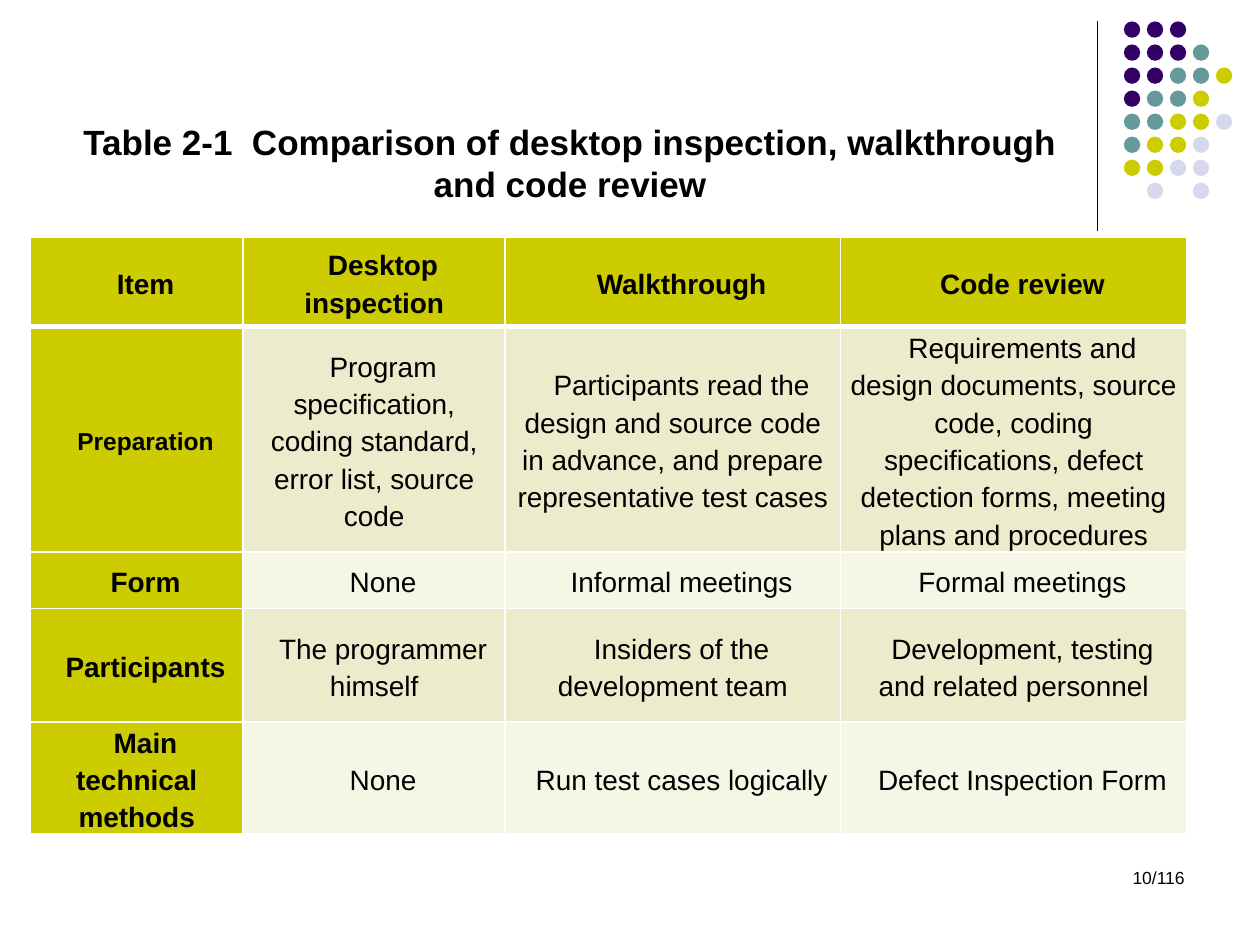
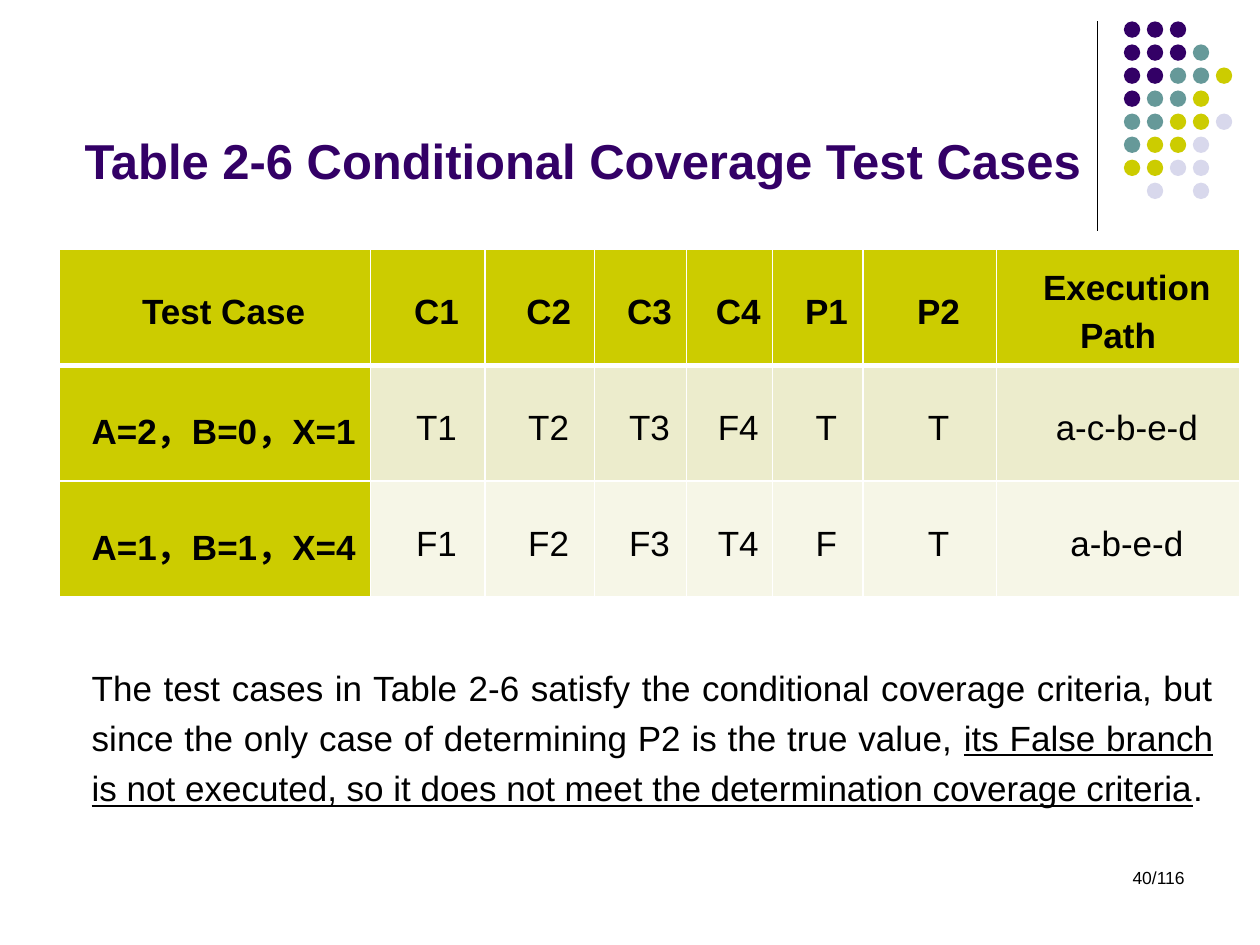
from lxml import etree
from pptx import Presentation
from pptx.dml.color import RGBColor
from pptx.enum.shapes import MSO_CONNECTOR, MSO_SHAPE
from pptx.enum.text import MSO_ANCHOR, MSO_AUTO_SIZE, PP_ALIGN
from pptx.oxml.ns import qn
from pptx.util import Inches, Pt

CENTER, RIGHT, JUST = PP_ALIGN.CENTER, PP_ALIGN.RIGHT, PP_ALIGN.JUSTIFY
MIDDLE, BOTTOM = MSO_ANCHOR.MIDDLE, MSO_ANCHOR.BOTTOM
NONE, GROW = MSO_AUTO_SIZE.NONE, MSO_AUTO_SIZE.SHAPE_TO_FIT_TEXT
OVAL, LINE = MSO_SHAPE.OVAL, MSO_CONNECTOR.STRAIGHT

BLACK = RGBColor(0x00, 0x00, 0x00)
PURPLE = RGBColor(0x33, 0x00, 0x66)
TEAL = RGBColor(0x66, 0x99, 0x99)
LIME = RGBColor(0xCC, 0xCC, 0x00)
LILAC = RGBColor(0xD8, 0xD8, 0xEC)
SAND = RGBColor(0xEC, 0xEC, 0xCC)
CREAM = RGBColor(0xF6, 0xF6, 0xE7)

# Corner dots, one letter per dot
DOTS = ["PPP", "PPPT", "PPTTY", "PTTY", "TTYYL", "TYYL", "YYLL", ".L.L"]
HUES = {"P": PURPLE, "T": TEAL, "Y": LIME, "L": LILAC}
STEP_X, STEP_Y = Inches(0.73) / 4, Inches(1.28) / 7

CELL = {"margin_left": Inches(0.07), "margin_right": Inches(0.07),
        "margin_top": 0, "margin_bottom": 0, "vertical_anchor": MIDDLE}

PAGES = [
    {"title": "Table 2-1  Comparison of desktop inspection, walkthrough and code review",
     "place": (0.47, 0.84, 8.11, 0.83), "look": (20, BLACK, True),
     "grid": (0.24, 1.88, 9.17, 4.87),
     "cols": [1.69, 2.08, 2.66, 2.75], "rows": [0.71, 1.79, 0.45, 0.9, 0.8],
     "size": 16, "small": {"Preparation": 14},
     "para": {"alignment": CENTER, "line_spacing": 1.2},
     "cells": [
         ["Item", "Desktop inspection", "Walkthrough", "Code review"],
         ["Preparation",
          "Program specification, coding standard, error list, source code",
          "Participants read the design and source code in advance, "
          "and prepare representative test cases",
          "Requirements and design documents, source code, coding specifications, "
          "defect detection forms, meeting plans and procedures"],
         ["Form", "None", "Informal meetings", "Formal meetings"],
         ["Participants", "The programmer himself", "Insiders of the development team",
          "Development, testing and related personnel"],
         ["Main technical methods", "None", "Run test cases logically",
          "Defect Inspection Form"]],
     "number": "10/116"},
    {"title": "Table 2-6 Conditional Coverage Test Cases",
     "place": (0.5, 0.13, 8.25, 1.42), "look": (28, PURPLE, True),
     "grid": (0.47, 1.98, 9.37, 2.76),
     "cols": [2.47, 0.91, 0.87, 0.73, 0.68, 0.72, 1.06, 1.93], "rows": [0.92] * 3,
     "size": 20, "small": {},
     "para": {"alignment": CENTER, "line_spacing": 1.25, "space_before": Pt(6)},
     "cells": [
         ["Test Case", "C1", "C2", "C3", "C4", "P1", "P2", "Execution Path"],
         ["A=2，B=0，X=1", "T1", "T2", "T3", "F4", "T", "T", "a-c-b-e-d"],
         ["A=1，B=1，X=4", "F1", "F2", "F3", "T4", "F", "T", "a-b-e-d"]],
     "number": "40/116"},
]


def dress(item, form):
    for name, value in form.items():
        setattr(item, name, value)


def write(para, text, size, color=BLACK, bold=False, under=False):
    run = para.add_run()
    run.text = text
    dress(run.font, {"name": "Arial", "size": Pt(size), "bold": bold, "underline": under})
    run.font.color.rgb = color


deck = Presentation()
deck.slide_width, deck.slide_height = Inches(10), Inches(7.5)

for page in PAGES:
    slide = deck.slides.add_slide(deck.slide_layouts[5])
    shapes = slide.shapes

    # Rule and dots in the corner
    rule = shapes.add_connector(LINE, Inches(8.71), Inches(0.17), Inches(8.71), Inches(1.83))
    rule.line.color.rgb = BLACK
    rule.line.width = Pt(0.75)
    etree.SubElement(rule._element.spPr, qn("a:effectLst"))
    group = shapes.add_group_shape()
    for r, row in enumerate(DOTS):
        for c, key in enumerate(row):
            if key in HUES:
                dot = group.shapes.add_shape(
                    OVAL, int(Inches(8.92) + c * STEP_X), int(Inches(0.17) + r * STEP_Y),
                    Inches(0.13), Inches(0.13))
                dot.shadow.inherit = False
                dot.fill.solid()
                dot.fill.fore_color.rgb = HUES[key]
                dot.line.fill.background()

    # Title
    title = shapes.title
    dress(title, dict(zip(("left", "top", "width", "height"), map(Inches, page["place"]))))
    dress(title.text_frame, {"vertical_anchor": BOTTOM, "word_wrap": True, "auto_size": NONE})
    para = title.text_frame.paragraphs[0]
    para.alignment = CENTER
    write(para, page["title"], *page["look"])

    # Table
    cells = page["cells"]
    table = shapes.add_table(len(cells), len(cells[0]), *map(Inches, page["grid"])).table
    table.horz_banding = False
    for col, width in zip(table.columns, page["cols"]):
        col.width = Inches(width)
    for row, height in zip(table.rows, page["rows"]):
        row.height = Inches(height)
    for r, row in enumerate(cells):
        for c, text in enumerate(row):
            cell = table.cell(r, c)
            dress(cell, CELL)
            head = r == 0 or c == 0
            # White borders, thick under the header row
            for side in ("L", "R", "T", "B"):
                thick = (r, side) in ((0, "B"), (1, "T"))
                edge = etree.SubElement(cell._tc.get_or_add_tcPr(), qn("a:ln" + side),
                                        w=str(Pt(3 if thick else 1)))
                fill = etree.SubElement(edge, qn("a:solidFill"))
                etree.SubElement(fill, qn("a:srgbClr"), val="FFFFFF")
            cell.fill.solid()
            cell.fill.fore_color.rgb = LIME if head else SAND if r % 2 else CREAM
            para = cell.text_frame.paragraphs[0]
            dress(para, page["para"])
            para._p.get_or_add_pPr().set("indent", str(Inches(0.14)))
            write(para, text, page["small"].get(text, page["size"]), bold=head)

    # Page number
    box = shapes.add_textbox(Inches(7.17), Inches(6.83), Inches(2.33), Inches(0.5))
    box.text_frame.word_wrap = True
    para = box.text_frame.paragraphs[0]
    para.alignment = RIGHT
    write(para, page["number"], 10)

# Closing remark on the last slide
note = shapes.add_textbox(Inches(0.63), Inches(5.17), Inches(9.1), Inches(1.72))
dress(note.text_frame, {"word_wrap": True, "auto_size": GROW})
para = note.text_frame.paragraphs[0]
dress(para, {"alignment": JUST, "line_spacing": 1.2})
write(para, "The test cases in Table 2-6 satisfy the conditional coverage criteria, but since "
      "the only case of determining P2 is the true value, ", 20)
write(para, "its False branch is not executed, so it does not meet the determination "
      "coverage criteria", 20, under=True)
write(para, ".", 20)

deck.save("out.pptx")
